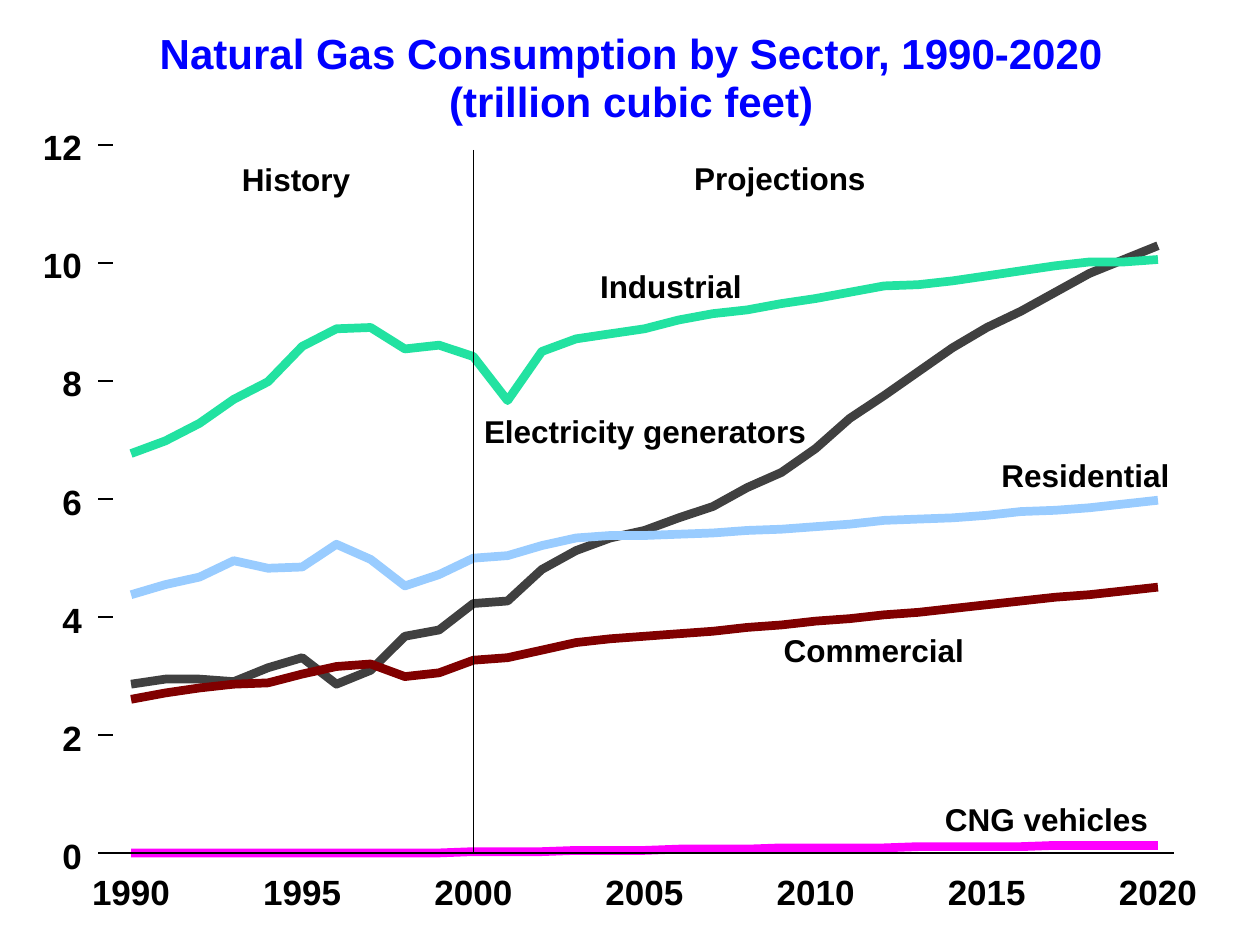
from dataclasses import dataclass

from lxml.etree import SubElement
from pptx import Presentation
from pptx.dml.color import RGBColor
from pptx.enum.shapes import MSO_CONNECTOR as Connector
from pptx.enum.text import MSO_ANCHOR as Anchor, MSO_AUTO_SIZE as AutoSize, PP_ALIGN as Align
from pptx.oxml.ns import qn
from pptx.util import Inches, Pt


@dataclass(frozen=True)
class Theme:
    font: str = "Arial"
    ink: str = "000000"
    title: str = "0000FF"
    cng: str = "FF00FF"
    electricity: str = "404040"
    industrial: str = "22E2A1"
    commercial: str = "800000"
    residential: str = "99CCFF"
    title_size: float = 24
    axis_size: float = 20
    label_size: float = 18
    series_width: float = 5
    axis_width: float = 1
    divider_width: float = 0.75


@dataclass(frozen=True)
class Box:
    left: float
    top: float
    width: float
    height: float

    @property
    def bottom(self):
        return self.top + self.height

    def place(self):
        return [Inches(n) for n in (self.left, self.top, self.width, self.height)]


THEME = Theme()
YEARS = range(1990, 2021)
TOP_VALUE = 12

# Yearly heights above the zero line, in hundredths of an inch
SERIES = [
    (THEME.cng, [0] * 10 + [
        1, 1, 1, 2, 2, 2, 3, 3, 3, 4,
        4, 4, 4, 5, 5, 5, 5, 6, 6, 6, 6]),
    (THEME.electricity, [
        134, 138, 138, 136, 147, 155, 134, 145, 172, 177,
        198, 200, 225, 240, 250, 256, 266, 275, 290, 302,
        321, 345, 363, 382, 401, 417, 430, 445, 460, 471, 482]),
    (THEME.industrial, [
        317, 327, 341, 360, 374, 402, 416, 417, 400, 403,
        394, 359, 398, 408, 412, 416, 423, 428, 431, 436,
        440, 445, 450, 451, 454, 458, 462, 466, 469, 469, 471]),
    (THEME.commercial, [
        122, 127, 131, 134, 135, 142, 148, 150, 140, 143,
        153, 155, 161, 167, 170, 172, 174, 176, 179, 181,
        184, 186, 189, 191, 194, 197, 200, 203, 205, 208, 211]),
    (THEME.residential, [
        205, 213, 219, 232, 226, 227, 245, 233, 212, 221,
        234, 236, 244, 250, 252, 252, 253, 254, 256, 257,
        259, 261, 264, 265, 266, 268, 271, 272, 274, 277, 280]),
]

# Text, then left, top and width relative to the plot
LABELS = [
    ("Residential", 6.89, 2.47, 1.37),
    ("Commercial", 5.16, 3.86, 1.47),
    ("Industrial", 3.7, 0.97, 1.17),
    ("History", 0.86, 0.12, 0.9),
    ("Projections", 4.45, 0.11, 1.4),
    ("Electricity generators", 2.78, 2.12, 2.6),
    ("CNG vehicles", 6.44, 5.2, 1.65),
]


def style_text(frame, size, color, align):
    frame.margin_left = frame.margin_right = 0
    frame.margin_top = frame.margin_bottom = 0
    frame.vertical_anchor = Anchor.TOP
    for para in frame.paragraphs:
        para.alignment = align
        for span in para.runs:
            span.font.name = THEME.font
            span.font.size = Pt(size)
            span.font.bold = True
            span.font.color.rgb = RGBColor.from_string(color)


def add_label(page, text, box, size, align=Align.CENTER):
    frame = page.shapes.add_textbox(*box.place()).text_frame
    frame.text = text
    frame.word_wrap = False
    frame.auto_size = AutoSize.SHAPE_TO_FIT_TEXT
    style_text(frame, size, THEME.ink, align)


def add_rule(page, x1, y1, x2, y2, width):
    rule = page.shapes.add_connector(
        Connector.STRAIGHT, Inches(x1), Inches(y1), Inches(x2), Inches(y2))
    rule.line.color.rgb = RGBColor.from_string(THEME.ink)
    rule.line.width = Pt(width)
    SubElement(rule._element.spPr, qn("a:effectLst"))


def year_x(box, year):
    return box.left + box.width * (year - YEARS[0]) / (YEARS[-1] - YEARS[0])


def add_title(page, box):
    title = page.shapes.title
    title.left, title.top, title.width, title.height = box.place()
    frame = title.text_frame
    frame.text = "Natural Gas Consumption by Sector, 1990-2020\n(trillion cubic feet)"
    frame.word_wrap = False
    frame.auto_size = AutoSize.NONE
    style_text(frame, THEME.title_size, THEME.title, Align.CENTER)
    for para in frame.paragraphs:
        para.line_spacing = 0.95


def add_series(page, box):
    for color, heights in SERIES:
        points = [(Inches(year_x(box, year)), Inches(box.bottom - height / 100))
                  for year, height in zip(YEARS, heights)]
        builder = page.shapes.build_freeform(*points[0])
        builder.add_line_segments(points[1:], close=False)
        curve = builder.convert_to_shape()
        curve.shadow.inherit = False
        curve.fill.background()
        curve.line.color.rgb = RGBColor.from_string(color)
        curve.line.width = Pt(THEME.series_width)


def add_axes(page, box):
    tick_left, tick_right = box.left - 0.26, box.left - 0.14
    # Value ticks and their numbers
    for value in range(0, TOP_VALUE + 1, 2):
        y = box.bottom - box.height * value / TOP_VALUE
        add_rule(page, tick_left, y, tick_right, y, THEME.axis_width)
        width = 0.31 if value >= 10 else 0.16
        number = Box(box.left - 0.39 - width, y - 0.15, width, 0.33)
        add_label(page, str(value), number, THEME.axis_size, Align.RIGHT)
    # Zero line and years
    add_rule(page, tick_right, box.bottom, box.left + box.width + 0.13,
             box.bottom, THEME.axis_width)
    for year in YEARS[::5]:
        place = Box(year_x(box, year) - 0.31, box.bottom + 0.14, 0.62, 0.33)
        add_label(page, str(year), place, THEME.axis_size)


def add_annotations(page, box):
    for text, left, top, width in LABELS:
        place = Box(box.left + left, box.top + top, width, 0.3)
        add_label(page, text, place, THEME.label_size)
    # Divider between history and projections
    x = year_x(box, 2000)
    add_rule(page, x, box.top + 0.04, x, box.bottom, THEME.divider_width)


def main():
    deck = Presentation()
    deck.slide_width, deck.slide_height = Inches(10), Inches(7.5)
    page = deck.slides.add_slide(deck.slide_layouts[5])
    plot = Box(1.04, 1.15, 8.15, 5.62)
    add_title(page, Box(1.26, 0.25, 7.5, 0.76))
    add_series(page, plot)
    add_axes(page, plot)
    add_annotations(page, plot)
    deck.save("out.pptx")


if __name__ == "__main__":
    main()
